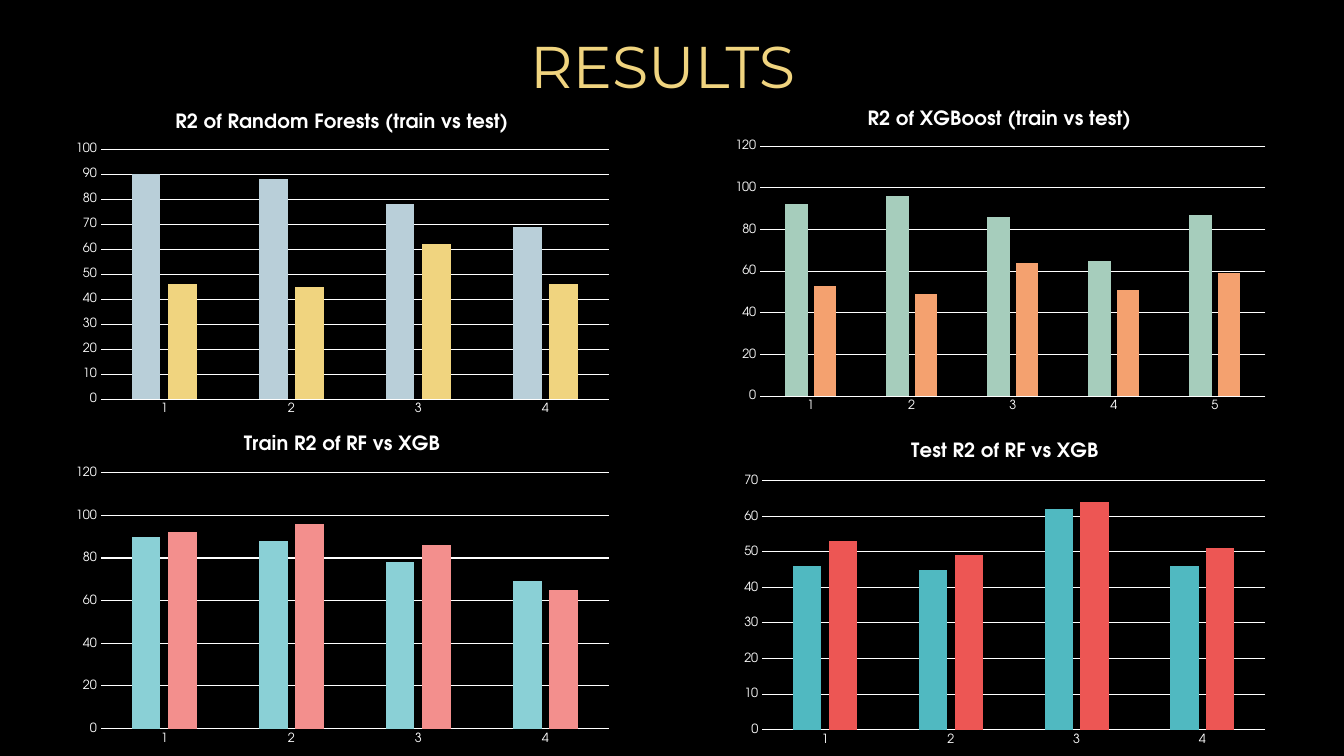
"""Builds the results slide: a heading and four clustered column charts."""
from lxml import etree
from pptx import Presentation
from pptx.chart.data import CategoryChartData
from pptx.dml.color import RGBColor
from pptx.enum.chart import XL_CHART_TYPE, XL_TICK_MARK
from pptx.enum.text import MSO_ANCHOR
from pptx.oxml import parse_xml
from pptx.oxml.ns import nsdecls, qn
from pptx.util import Inches, Pt

BLACK = RGBColor(0x00, 0x00, 0x00)
WHITE = RGBColor(0xFF, 0xFF, 0xFF)
YELLOW = RGBColor(0xF0, 0xD4, 0x7F)
PALE_BLUE = RGBColor(0xB9, 0xCF, 0xD9)
SAGE = RGBColor(0xA6, 0xCD, 0xBC)
ORANGE = RGBColor(0xF4, 0xA1, 0x6F)
TEAL = RGBColor(0x50, 0xB9, 0xC1)
RED = RGBColor(0xED, 0x56, 0x54)
AQUA = RGBColor(0x8A, 0xD0, 0xD6)
PINK = RGBColor(0xF3, 0x8F, 0x8D)
CHART_FONT = "TeX Gyre Adventor"

RF_TRAIN, RF_TEST = [90, 88, 78, 69], [46, 45, 62, 46]
XGB_TRAIN, XGB_TEST = [92, 96, 86, 65, 87], [53, 49, 64, 51, 59]

COMPARISONS = [
    ("R2 of Random Forests (train vs test)", (0.64, 0.95, 5.51, 3.23),
     (1.0, 1.48, 5.04, 2.48), 100, 10, (RF_TRAIN, RF_TEST), (PALE_BLUE, YELLOW)),
    ("R2 of XGBoost (train vs test)", (7.18, 0.92, 5.47, 3.23),
     (7.54, 1.45, 5.01, 2.48), 120, 20, (XGB_TRAIN, XGB_TEST), (SAGE, ORANGE)),
    ("Test R2 of RF vs XGB", (7.28, 4.22, 5.38, 3.23),
     (7.56, 4.77, 4.99, 2.47), 70, 10, (RF_TEST, XGB_TEST[:4]), (TEAL, RED)),
    ("Train R2 of RF vs XGB", (0.64, 4.15, 5.51, 3.31),
     (1.0, 4.69, 5.04, 2.54), 120, 20, (RF_TRAIN, XGB_TRAIN[:4]), (AQUA, PINK)),
]


def style_font(font, name, size, color, bold=False):
    font.name = name
    font.size = Pt(size)
    font.color.rgb = color
    font.bold = bold


def place_plot(chart, frame, plot):
    left, top, width, height = frame
    shares = {"x": (plot[0] - left) / width, "y": (plot[1] - top) / height,
              "w": plot[2] / width, "h": plot[3] / height}
    area = chart.plots[0]._element.getparent()
    for old in area.findall(qn("c:layout")):
        area.remove(old)
    layout = parse_xml(f"<c:layout {nsdecls('c')}><c:manualLayout/></c:layout>")
    settings = [("layoutTarget", "inner"), ("xMode", "edge"), ("yMode", "edge")]
    settings += [(key, f"{share:.4f}") for key, share in shares.items()]
    for tag, value in settings:
        etree.SubElement(layout[0], qn(f"c:{tag}")).set("val", value)
    area.insert(0, layout)


prs = Presentation()
prs.slide_width, prs.slide_height = Inches(13.33), Inches(7.5)
slide = prs.slides.add_slide(prs.slide_layouts[6])
slide.background.fill.solid()
slide.background.fill.fore_color.rgb = BLACK

for title, frame, plot_box, top_value, step, values, colors in COMPARISONS:
    scores = CategoryChartData()
    scores.categories = [str(n + 1) for n in range(len(values[0]))]
    for number, series_values in enumerate(values, 1):
        scores.add_series(f"Series {number}", series_values)
    chart = slide.shapes.add_chart(XL_CHART_TYPE.COLUMN_CLUSTERED,
                                   *map(Inches, frame), scores).chart
    style_font(chart.font, CHART_FONT, 10, WHITE)
    chart.has_legend = False
    chart.has_title = True
    heading = chart.chart_title.text_frame
    heading.text = title
    style_font(heading.paragraphs[0].font, CHART_FONT, 14, WHITE, True)
    chart.chart_title.include_in_layout = False

    columns = chart.plots[0]
    columns.gap_width = 219
    columns.overlap = -27
    columns.vary_by_categories = False
    for series, color in zip(columns.series, colors):
        series.format.fill.solid()
        series.format.fill.fore_color.rgb = color

    score_axis = chart.value_axis
    score_axis.minimum_scale = 0
    score_axis.maximum_scale = top_value
    score_axis.major_unit = step
    score_axis.format.line.fill.background()
    for axis in (chart.category_axis, score_axis):
        axis.major_tick_mark = axis.minor_tick_mark = XL_TICK_MARK.NONE
        style_font(axis.tick_labels.font, CHART_FONT, 9, WHITE)
    for line in (chart.category_axis.format.line,
                 score_axis.major_gridlines.format.line):
        line.color.rgb = WHITE
        line.width = Pt(0.75)

    place_plot(chart, frame, plot_box)
    chart._chartSpace.find(qn("c:chart")).addnext(parse_xml(
        f"<c:spPr {nsdecls('c', 'a')}><a:noFill/><a:ln><a:noFill/></a:ln></c:spPr>"))

results = slide.shapes.add_textbox(
    Inches(5.16), Inches(0.22), Inches(3.21), Inches(0.84)).text_frame
results.word_wrap = True
results.vertical_anchor = MSO_ANCHOR.MIDDLE
results.text = "RESULTS"
style_font(results.paragraphs[0].font, "Montserrat", 42, YELLOW)

prs.save("out.pptx")
